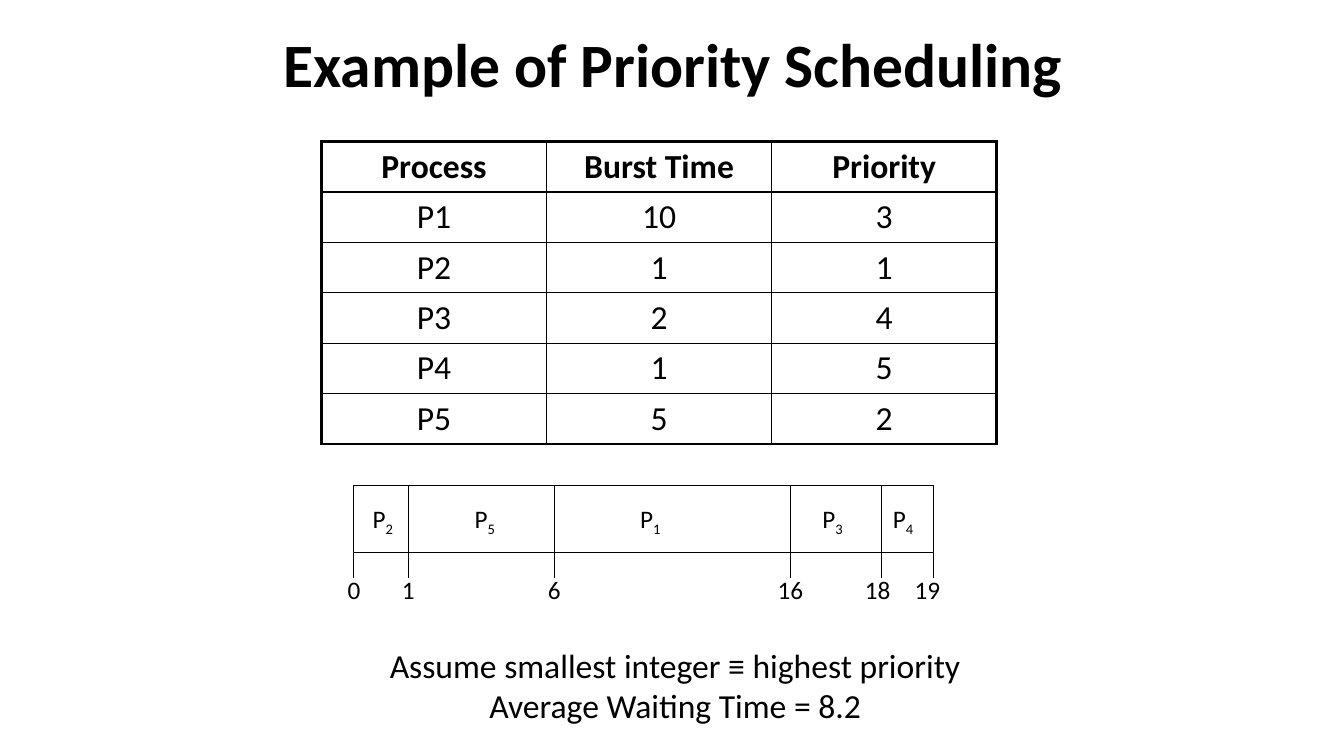
from dataclasses import dataclass

from lxml.etree import SubElement
from pptx import Presentation
from pptx.dml.color import RGBColor
from pptx.enum.shapes import MSO_CONNECTOR as Connector, MSO_SHAPE as Shape
from pptx.enum.text import MSO_ANCHOR as Anchor, PP_ALIGN as Align
from pptx.oxml import parse_xml
from pptx.oxml.ns import nsdecls, qn
from pptx.util import Cm, Pt


@dataclass(frozen=True)
class Theme:
    font: str = "Calibri"
    ink: str = "000000"
    paper: str = "FFFFFF"
    title: float = 44
    body: float = 24
    label: float = 18
    thin: float = 0.75
    grid: float = 1
    frame: float = 2.25


THEME = Theme()

PROCESS_TABLE = [
    ["Process", "Burst Time", "Priority"],
    ["P1", "10", "3"],
    ["P2", "1", "1"],
    ["P3", "2", "4"],
    ["P4", "1", "5"],
    ["P5", "5", "2"],
]

# Process number and centre of its label, in cm from the left of the bar
SEGMENTS = [("2", 0.73), ("5", 3.3), ("1", 7.47), ("3", 12.06), ("4", 13.84)]

# Time, place of its tick in cm from the left of the bar, shift of its label
TICKS = [
    ("0", 0, 0),
    ("1", 1.37, 0),
    ("6", 5.05, 0),
    ("16", 11, 0),
    ("18", 13.3, -0.1),
    ("19", 14.6, -0.15),
]


def write(frame, text, size, bold=False, subscript="", wrap=True, anchor=Anchor.MIDDLE):
    """Fill a text frame with one centred paragraph, ending in an optional subscript."""
    frame.word_wrap = wrap
    frame.vertical_anchor = anchor
    paragraph = frame.paragraphs[0]
    paragraph.alignment = Align.CENTER
    paragraph.font.size = Pt(size)
    for index, line in enumerate(text.split("\n")):
        if index:
            paragraph.add_line_break()
        paragraph.add_run().text = line
    if subscript:
        run = paragraph.add_run()
        run.text = subscript
        run.font._element.set("baseline", "-25000")
    for run in paragraph.runs:
        run.font.name = THEME.font
        run.font.size = Pt(size)
        run.font.bold = bold
        run.font.color.rgb = RGBColor.from_string(THEME.ink)


def add_text(shapes, left, top, width, height, text, size, **text_format):
    box = shapes.add_textbox(Cm(left), Cm(top), Cm(width), Cm(height))
    write(box.text_frame, text, size, **text_format)


def add_label(shapes, centre_x, centre_y, text, **text_format):
    width, height = 1.4, 1.02
    add_text(shapes, centre_x - width / 2, centre_y - height / 2, width, height,
             text, THEME.label, wrap=False, **text_format)


def add_vertical_line(shapes, x, top, bottom):
    line = shapes.add_connector(Connector.STRAIGHT, Cm(x), Cm(top), Cm(x), Cm(bottom))
    line.line.color.rgb = RGBColor.from_string(THEME.ink)
    line.line.width = Pt(THEME.thin)
    SubElement(line._element.spPr, qn("a:effectLst"))


def set_borders(cell, left, right, top, bottom):
    """Draw the four sides of a cell with the given widths in points."""
    properties = cell._tc.get_or_add_tcPr()
    sides = zip("LRTB", (left, right, top, bottom))
    for index, (side, width) in enumerate(sides):
        properties.insert(index, parse_xml(
            f'<a:ln{side} {nsdecls("a")} w="{Pt(width)}"><a:solidFill>'
            f'<a:srgbClr val="{THEME.ink}"/></a:solidFill></a:ln{side}>'))


def add_process_table(slide, left, top, width, height):
    row_count, column_count = len(PROCESS_TABLE), len(PROCESS_TABLE[0])
    table = slide.shapes.add_table(row_count, column_count, Cm(left), Cm(top),
                                   Cm(width), Cm(height)).table
    table.horz_banding = False

    def border(at_edge):
        return THEME.frame if at_edge else THEME.grid

    for row, values in enumerate(PROCESS_TABLE):
        for column, value in enumerate(values):
            cell = table.cell(row, column)
            cell.fill.background()
            cell.margin_top = cell.margin_bottom = Cm(0.1)
            cell.vertical_anchor = Anchor.MIDDLE
            write(cell.text_frame, value, THEME.body, bold=row == 0)
            set_borders(cell, border(column == 0), border(column == column_count - 1),
                        border(row == 0), border(row == row_count - 1))


def add_gantt_chart(slide, left, top, width, bar_height):
    shapes = slide.shapes.add_group_shape().shapes
    bottom = top + bar_height
    bar = shapes.add_shape(Shape.RECTANGLE, Cm(left), Cm(top), Cm(width), Cm(bar_height))
    bar.shadow.inherit = False
    bar.fill.solid()
    bar.fill.fore_color.rgb = RGBColor.from_string(THEME.paper)
    bar.line.color.rgb = RGBColor.from_string(THEME.ink)
    bar.line.width = Pt(THEME.thin)

    for process, centre in SEGMENTS:
        add_label(shapes, left + centre, top + 0.88, "P", subscript=process)
    for time, offset, shift in TICKS:
        x = left + offset
        if 0 < offset < width:
            add_vertical_line(shapes, x, top, bottom)
        add_vertical_line(shapes, x, bottom, bottom + 0.63)
        add_label(shapes, x + shift, bottom + 0.93, time)


def main():
    presentation = Presentation()
    presentation.slide_width, presentation.slide_height = Cm(33.87), Cm(19.05)
    slide = presentation.slides.add_slide(presentation.slide_layouts[6])
    add_text(slide.shapes, 1.73, 0, 30.48, 3.18, "Example of Priority Scheduling",
             THEME.title, bold=True)
    add_process_table(slide, 8.1, 3.57, 17.02, 7.62)
    add_gantt_chart(slide, 8.92, 12.23, 14.6, 1.7)
    add_text(slide.shapes, 8.53, 16.13, 16.97, 2.31,
             "Assume smallest integer ≡ highest priority\nAverage Waiting Time = 8.2",
             THEME.body, anchor=Anchor.TOP)
    presentation.save("out.pptx")


if __name__ == "__main__":
    main()
